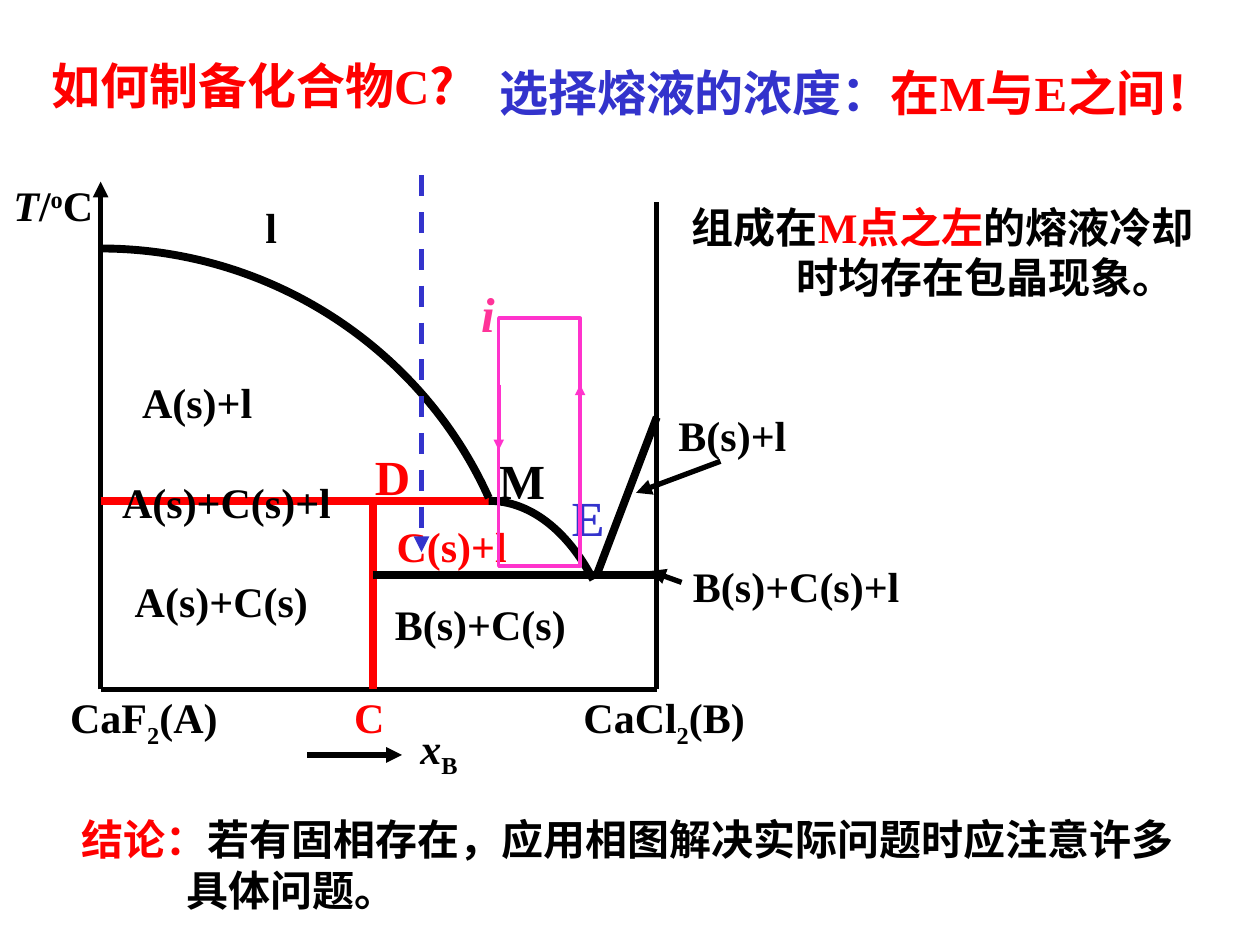
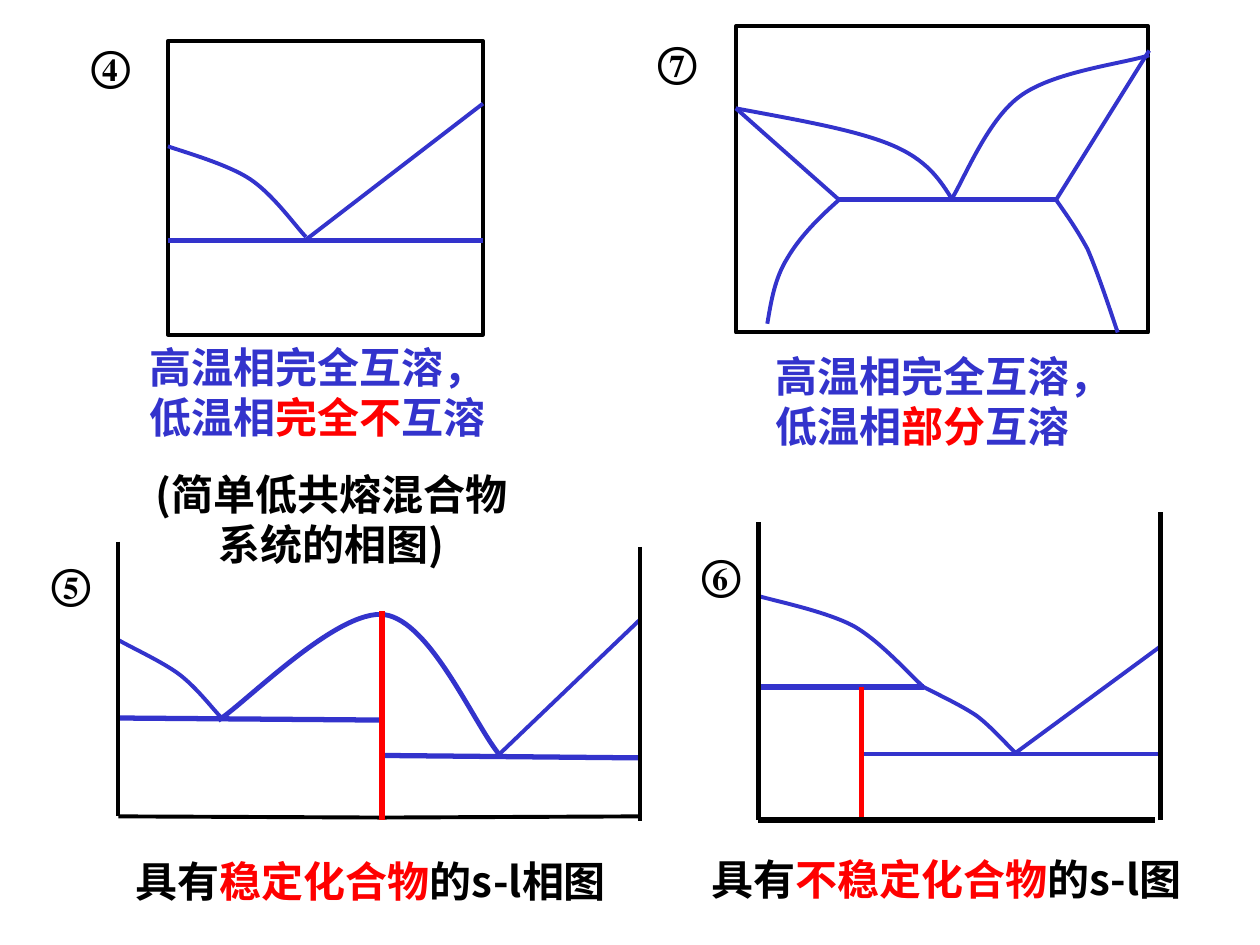
import copy

import lxml.etree
import pptx
import pptx.dml.color
import pptx.enum.dml
import pptx.enum.shapes
import pptx.enum.text
import pptx.oxml.ns
import pptx.util

Pt = pptx.util.Pt
RGBColor = pptx.dml.color.RGBColor
ALIGN = pptx.enum.text.PP_ALIGN

BLACK = RGBColor(0, 0, 0)
RED = RGBColor(255, 0, 0)
BLUE = RGBColor(0x33, 0x33, 0xCC)
MAGENTA = RGBColor(0xFF, 0x33, 0xCC)
PINK = RGBColor(0xFF, 0x33, 0x99)

SERIF = "Times New Roman"
SANS = "Noto Sans CJK SC"
BODY = {"name": SERIF, "size": Pt(24), "bold": True, "color": BLACK}
LARGE = BODY | {"size": Pt(28)}
CAPTION = BODY | {"name": SANS}
SUBSCRIPT, SUPERSCRIPT = -25, 30
HANGING_INDENT = 60


def add_child(parent, tag, **attributes):
    child = lxml.etree.SubElement(parent, pptx.oxml.ns.qn(tag))
    for name, value in attributes.items():
        child.set(name, value)
    return child


def add_run(paragraph, text, style, baseline=0, east_asian=SANS):
    run = paragraph.add_run()
    run.text = text
    for name, value in style.items():
        if name == "color":
            run.font.color.rgb = value
        else:
            setattr(run.font, name, value)
    add_child(run.font._element, "a:ea", typeface=east_asian)
    if baseline:
        run.font._element.set("baseline", str(baseline * 1000))


def fill_paragraph(paragraph, runs, base, align=ALIGN.LEFT, hanging=0):
    """Each run is a text and its differences from the base style."""
    paragraph.alignment = align
    if hanging:
        properties = paragraph._p.get_or_add_pPr()
        properties.set("marL", str(Pt(hanging)))
        properties.set("indent", str(Pt(-hanging)))
    for text, changes in runs:
        style = base | changes
        extras = {key: style.pop(key) for key in ("baseline", "east_asian") if key in style}
        add_run(paragraph, text, style, **extras)


def clear_margins(frame):
    for side in ("left", "top", "right", "bottom"):
        setattr(frame, f"margin_{side}", 0)


def bend_segments(path, count):
    """Turn the first straight segments of a path into Bézier curves, three to a curve."""
    segments = path.findall(pptx.oxml.ns.qn("a:lnTo"))[:count]
    for first in range(0, count, 3):
        bend = add_child(path, "a:cubicBezTo")
        path.replace(segments[first], bend)
        for segment in segments[first:first + 3]:
            bend.append(segment[0])
            if segment.getparent() is not None:
                path.remove(segment)


class Canvas:
    """Draws on a slide with coordinates in points from one corner."""

    def __init__(self, slide, left=0, top=0):
        self.slide, self.left, self.top = slide, left, top

    def place(self, x, y):
        return Pt(self.left + x), Pt(self.top + y)

    def line(self, start, end, color=BLACK, width=3, arrow=False, dashed=False):
        connector = self.slide.shapes.add_connector(
            pptx.enum.shapes.MSO_CONNECTOR.STRAIGHT, *self.place(*start), *self.place(*end))
        connector.line.color.rgb = color
        connector.line.width = Pt(width)
        if dashed:
            connector.line.dash_style = pptx.enum.dml.MSO_LINE.DASH
        if arrow:
            add_child(connector.line._get_or_add_ln(), "a:tailEnd", type="triangle")
        add_child(connector._element.spPr, "a:effectLst")

    def lines(self, ends, color, width):
        for start, end in ends:
            self.line(start, end, color, width)

    def curve(self, points, color=BLUE, width=2.25, center=None):
        """A start point, then three Bézier points a segment; center closes an unlined sector."""
        corners = points[1:] + ([center] if center else [])
        builder = self.slide.shapes.build_freeform(*self.place(*points[0]))
        builder.add_line_segments([self.place(*corner) for corner in corners], close=False)
        shape = builder.convert_to_shape()
        path = next(shape._element.iter(pptx.oxml.ns.qn("a:path")))
        bend_segments(path, len(points) - 1)
        if center:
            sector = copy.deepcopy(path)
            sector.set("stroke", "0")
            add_child(sector, "a:close")
            path.addnext(sector)
            path.remove(path[-1])
        self.outline(shape, color, width)

    def rectangle(self, x, y, width, height, color=BLACK, weight=2.25):
        shape = self.slide.shapes.add_shape(
            pptx.enum.shapes.MSO_SHAPE.RECTANGLE, *self.place(x, y), Pt(width), Pt(height))
        self.outline(shape, color, weight)

    def outline(self, shape, color, width):
        shape.shadow.inherit = False
        shape.fill.background()
        shape.line.color.rgb = color
        shape.line.width = Pt(width)

    def text(self, x, y, width, height, paragraphs, base=BODY,
             margins=True, aligns=(ALIGN.LEFT,), hanging=0, gap=0):
        box = self.slide.shapes.add_textbox(*self.place(x, y), Pt(width), Pt(height))
        frame = box.text_frame
        frame.word_wrap = True
        if not margins:
            clear_margins(frame)
        for index, runs in enumerate(paragraphs):
            paragraph = frame.add_paragraph() if index else frame.paragraphs[0]
            if index and gap:
                paragraph.space_before = Pt(gap)
            fill_paragraph(paragraph, runs, base, aligns[min(index, len(aligns) - 1)], hanging)

    def label(self, x, y, width, *runs):
        self.text(x, y, width, 36, [runs])

    def point_name(self, x, y, name, width=72, align=ALIGN.LEFT, **changes):
        self.text(x, y, width, 33.8, [[(name, changes)]], LARGE, margins=False, aligns=(align,))

    def number(self, x, y, digit):
        self.text(x, y, 40, 36, [[(digit, {"east_asian": SERIF})]])


def add_heading(slide):
    title = slide.shapes.title
    for name, value in {"left": 29.5, "top": 31.7, "width": 239.8, "height": 33.8}.items():
        setattr(title, name, Pt(value))
    frame = title.text_frame
    frame.auto_size = pptx.enum.text.MSO_AUTO_SIZE.NONE
    frame.word_wrap = False
    frame.vertical_anchor = pptx.enum.text.MSO_ANCHOR.TOP
    clear_margins(frame)
    fill_paragraph(frame.paragraphs[0],
                   [("如何制备化合物", {"name": SANS}), ("C", {}), ("?", {"name": SANS})],
                   LARGE | {"color": RED})


def draw_phase_diagram(slide, left, top, width, height):
    canvas = Canvas(slide, left, top)
    compound_x, peritectic_x = 155.5, 221.8
    peritectic_y, eutectic_y = 182.4, 224.6

    canvas.line((0, height), (width, height))
    canvas.line((width, height), (width, 11.5))
    canvas.line((0, height), (0, 0), arrow=True)
    canvas.lines([((0, peritectic_y), (peritectic_x, peritectic_y)),
                  ((compound_x, peritectic_y), (compound_x, height))], RED, 4.5)
    canvas.lines([((compound_x, eutectic_y), (width, eutectic_y)),
                  ((283, 226), (width, 134.6))], BLACK, 4.5)
    canvas.curve([(0, 38.2), (95.8, 38.2), (182.9, 94.3), (peritectic_x, 180.7)],
                 BLACK, 4.5, center=(0, 278.6))
    canvas.curve([(peritectic_x, peritectic_y), (244.8, peritectic_y), (266.4, 198.7),
                  (281.5, 227.5)], BLACK, 4.5, center=(peritectic_x, 320.4))
    for start, end in [((118.2, 327.6), (172.2, 327.6)), ((354.2, 159.8), (306, 177.8)),
                       ((332, 229), (314, 222.5))]:
        canvas.line(start, end, arrow=True)

    red, sub = {"color": RED}, {"baseline": SUBSCRIPT}
    canvas.label(-56.9, -5, 66, ("T", {"italic": True}), ("/", {}),
                 ("o", {"baseline": SUPERSCRIPT}), ("C", {}))
    canvas.label(-24.5, 288, 110, ("CaF", {}), ("2", sub), ("(A)", {}))
    canvas.label(137.8, 288, 40, ("C", red))
    canvas.label(268.8, 288, 120, ("CaCl", {}), ("2", sub), ("(B)", {}))
    canvas.label(175.7, 305.3, 50, ("x", {"italic": True}), ("B", sub))
    for x, y, label_width, phases, changes in [
            (87, 8, 24, "l", {}), (162, 190, 90, "C(s)+l", red), (16.6, 108, 90, "A(s)+l", {}),
            (12.4, 221.8, 130, "A(s)+C(s)", {}), (161.1, 234.9, 130, "B(s)+C(s)", {}),
            (5.2, 165, 150, "A(s)+C(s)+l", {}), (323.1, 126.9, 90, "B(s)+l", {}),
            (331.4, 213, 150, "B(s)+C(s)+l", {})]:
        canvas.label(x, y, label_width, (phases, changes))
    canvas.point_name(156.8, 151.2, "D", color=RED)
    canvas.point_name(242.6, 175, "E", align=ALIGN.CENTER, color=BLUE)
    canvas.point_name(227.6, 153.4, "M")
    canvas.line((183.4, -3.6), (183.4, 211.7), BLUE, dashed=True, arrow=True)

    loop_left, loop_width = 227.5, 46.5
    canvas.rectangle(loop_left, 78, loop_width, 141.8, MAGENTA, 2)
    canvas.line((loop_left, 116), (loop_left, 153.4), MAGENTA, 2, arrow=True)
    loop_right = loop_left + loop_width
    canvas.line((loop_right, 153.4), (loop_right, 116), MAGENTA, 2, arrow=True)
    canvas.point_name(217.4, 58.3, "i", width=22.3, color=PINK, italic=True)


def add_remarks(slide):
    canvas = Canvas(slide)
    red = {"color": RED}
    canvas.text(278.2, 32, 425, 41, [[("选择熔液的浓度：", {"color": BLUE}),
                                      ("在M与E之间！", red)]], LARGE, hanging=HANGING_INDENT)
    canvas.text(39.6, 461.5, 643.7, 64.8,
                [[("结论：", red), ("若有固相存在，应用相图解决实际问题时应注意许多具体问题。", {})]],
                hanging=HANGING_INDENT)
    canvas.text(388.3, 111.6, 317.5, 64.8,
                [[("组成在", {}), ("M点之左", red), ("的熔液冷却时均存在包晶现象。", {})]],
                hanging=HANGING_INDENT)


def draw_simple_eutectic(slide, left, top, width, height):
    canvas = Canvas(slide, left, top)
    eutectic_y = 114.2
    canvas.rectangle(0, 0, width, height)
    canvas.curve([(0, 60.2), (7.9, 63.1), (33.8, 70.3), (46.8, 78.9),
                  (59.8, 87.5), (72, 104.7), (78.8, 112)])
    canvas.line((78, eutectic_y), (width, 35.8), BLUE, 2.25)
    canvas.line((0, eutectic_y), (width, eutectic_y), BLUE)
    canvas.number(-51, -4.2, "④")
    blue = {"color": BLUE}
    canvas.text(-17.4, 168.2, 221.8, 137.5,
                [[("高温相完全互溶，低温相", blue), ("完全不", {"color": RED}), ("互溶", blue)],
                 [("(简单低共熔混合物系统的相图)", {})]],
                CAPTION, aligns=(ALIGN.LEFT, ALIGN.CENTER), gap=15)


def draw_partly_miscible(slide, left, top, width, height):
    canvas = Canvas(slide, left, top)
    y, solid_left, solid_right = 99.2, 59, 183
    canvas.rectangle(0, 0, width, height)
    canvas.line((solid_left, y), (solid_right, y), BLUE)
    for points in [
            [(solid_left, y), (47.5, 109.4), (36.7, 120.2), (29.5, 132.5),
             (22.3, 144), (20.2, 157), (18, 170)],
            [(solid_right, y), (188.6, 107.3), (194.4, 115.2), (201, 127.4),
             (206.6, 140.4), (212.4, 157.7), (218.2, height)],
            [(0, 46.9), (33.8, 53.3), (67.7, 59), (88.6, 67.7),
             (109.4, 76.3), (116.6, 87.8), (123.8, y)],
            [(123, y), (129.6, 89.3), (143.3, 54), (162, 40.3),
             (180.7, 26), (220.3, 21.6), (236.2, 16.6)]]:
        canvas.curve(points)
    canvas.lines([((0, 46.9), (solid_left, y)), ((236.2, 13.9), (solid_right, y))], BLUE, 2.25)
    canvas.number(-51.8, 1.6, "⑦")
    canvas.text(15.8, 181.7, 221.8, 64.8,
                [[("高温相完全互溶，", {})],
                 [("低温相", {}), ("部分", {"color": RED}), ("互溶", {})]],
                CAPTION | {"color": BLUE})


def add_compound_caption(canvas, x, y, kind, ending):
    canvas.text(x, y, 303, 64.8,
                [[("具有", {}), (kind, {"color": RED}), (ending, {})]], CAPTION)


def draw_stable_compound(slide, left, top, width, height):
    canvas = Canvas(slide, left, top)
    compound_x = 150.6
    canvas.curve([(0, 56.2), (5.8, 59.8), (26, 69), (35.3, 76.3),
                  (45.4, 84.2), (54, 95.8), (59, 100.8)])
    canvas.lines([((0, 100.8), (compound_x, 102)),
                  ((compound_x, 122.2), (width, 123.6))], BLUE, 3)
    canvas.line((216.7, 122.4), (width, 44.6), BLUE, 2.25)
    canvas.lines([((0, 0), (0, height)), ((0, height), (compound_x, height + 0.7)),
                  ((width, 3), (width, height + 2.8)),
                  ((compound_x, height + 0.7), (width, height))], BLACK, 2.25)
    canvas.curve([(57, 102.2), (72.7, 92.2), (125.3, 38.2), (152, 41.8),
                  (178.6, 45.4), (203.8, 105.8), (218.2, 122.4)], width=2.75)
    canvas.line((compound_x, height + 2), (compound_x, 39.6), RED)
    canvas.number(-45.4, 5.6, "⑤")
    add_compound_caption(canvas, 2.9, 175.8, "稳定化合物", "的s-l相图")


def draw_unstable_compound(slide, left, top, width, height):
    canvas = Canvas(slide, left, top)
    compound_x, peritectic, eutectic_y = 59.1, (94.4, 100.2), 138.4
    canvas.curve([(0, 48.2), (9.4, 51), (39, 57), (54.7, 65.5),
                  (69.8, 74.2), (86.4, 93), peritectic])
    canvas.curve([peritectic, (99.4, 103), (115.2, 110.2), (124.6, 116.6),
                  (133.2, 123), (142.6, 134), (147.6, eutectic_y)])
    canvas.line((0, peritectic[1]), peritectic, BLUE)
    canvas.lines([((compound_x, eutectic_y), (width, eutectic_y)),
                  ((width, 77), (146.2, eutectic_y))], BLUE, 2.25)
    canvas.line((compound_x, peritectic[1]), (compound_x, height), RED)
    canvas.lines([((0, height), (226.8, height)), ((0, height), (0, 5.8)),
                  ((width, height), (width, 0))], BLACK, 3)
    canvas.number(-39.6, 17.3, "⑥")
    add_compound_caption(canvas, -33.8, 191.6, "不稳定化合物", "的s-l图")


def main():
    presentation = pptx.Presentation()
    presentation.slide_width, presentation.slide_height = Pt(720), Pt(540)
    title_only, blank = presentation.slide_layouts[5], presentation.slide_layouts[6]

    preparation = presentation.slides.add_slide(title_only)
    add_heading(preparation)
    draw_phase_diagram(preparation, 57.5, 103.8, 317.8, 290.2)
    add_remarks(preparation)

    summary = presentation.slides.add_slide(blank)
    draw_simple_eutectic(summary, 96, 23.4, 180, 167.8)
    draw_partly_miscible(summary, 420.5, 15, 235.6, 175)
    draw_stable_compound(summary, 67.7, 309.5, 298, 157)
    draw_unstable_compound(summary, 433.4, 292.4, 229.7, 176.2)
    presentation.save("out.pptx")


if __name__ == "__main__":
    main()
